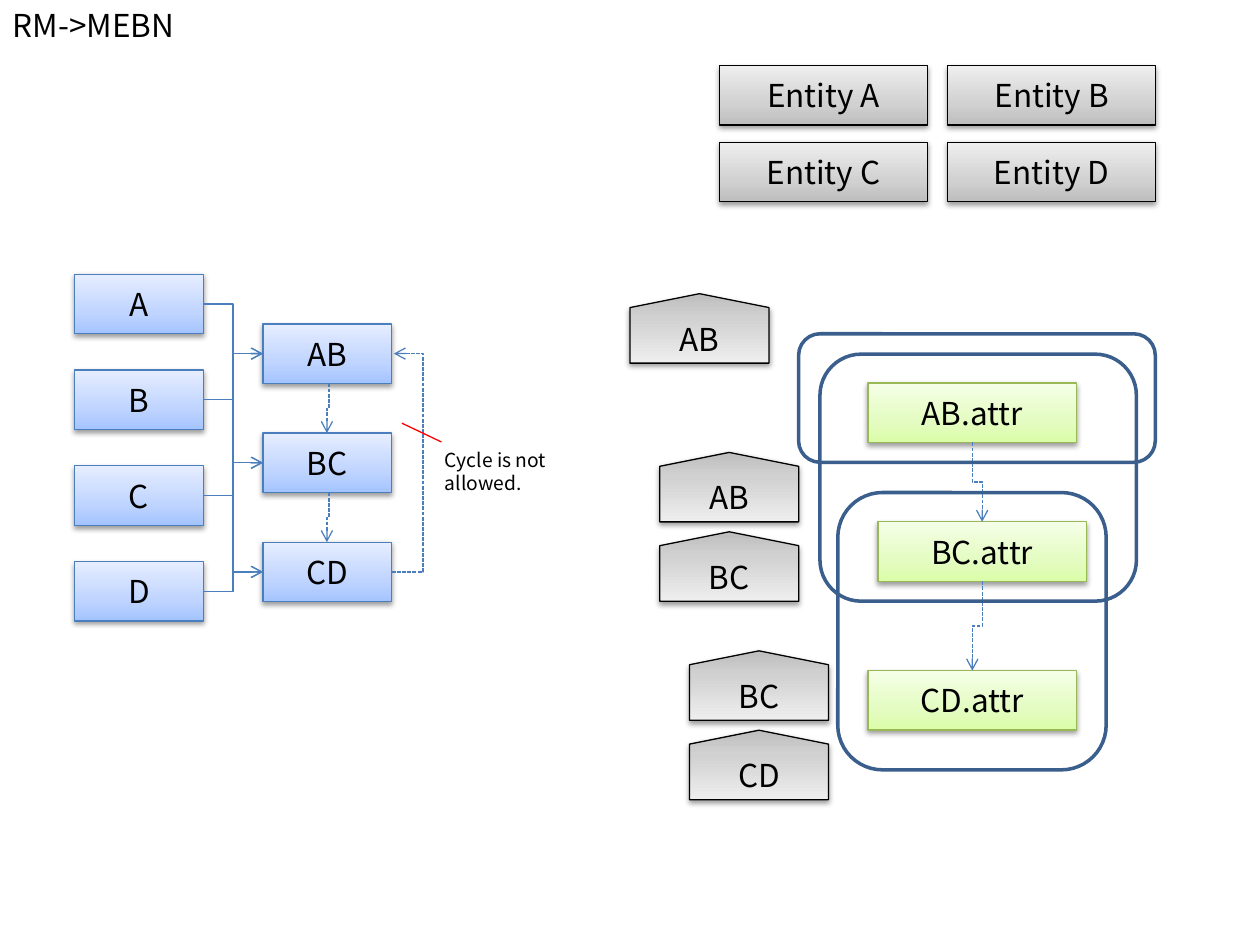
from copy import deepcopy

from lxml.etree import SubElement as Sub
from pptx import Presentation
from pptx.dml.color import RGBColor
from pptx.enum.dml import MSO_LINE as Dash
from pptx.enum.shapes import MSO_CONNECTOR as Link, MSO_SHAPE as Form
from pptx.enum.text import MSO_ANCHOR as Anchor, MSO_AUTO_SIZE as Fit, PP_ALIGN as Align
from pptx.oxml.ns import qn
from pptx.util import Cm, Pt

FONT = "Noto Sans CJK KR"
BLACK = RGBColor(0, 0, 0)
RED = RGBColor(0xFF, 0, 0)
STEEL = RGBColor(0x4B, 0x7E, 0xBC)
NAVY = RGBColor(0x3A, 0x5F, 0x8C)
OLIVE = RGBColor(0x98, 0xB9, 0x55)
BLUES = [RGBColor(0xA4, 0xC4, 0xFF), RGBColor(0xBF, 0xD4, 0xFF), RGBColor(0xE6, 0xEE, 0xFF)]
GREYS = [RGBColor(0xBD, 0xBD, 0xBD), RGBColor(0xD1, 0xD1, 0xD1), RGBColor(0xEE, 0xEE, 0xEE)]
GREENS = [RGBColor(0xDA, 0xFD, 0xA7), RGBColor(0xE4, 0xFC, 0xC2), RGBColor(0xF5, 0xFF, 0xE7)]
HIGH = 1.2   # height of every plain box
WIDE = 4.2   # width of entity and attribute boxes


def write(shape, text, size=18, align=Align.LEFT, anchor=Anchor.TOP, right=0.25):
    """Put formatted text into a shape."""
    frame = shape.text_frame
    frame.word_wrap = True
    frame.auto_size = Fit.NONE
    frame.vertical_anchor = anchor
    frame.margin_right = Cm(right)
    para = frame.paragraphs[0]
    para.alignment = align
    run = para.add_run()
    run.text = text
    run.font.size = Pt(size)
    run.font.name = FONT
    run.font.color.rgb = BLACK


def label(slide, text, x, y, w, h, **style):
    """Add a text box."""
    write(slide.shapes.add_textbox(Cm(x), Cm(y), Cm(w), Cm(h)), text, **style)


def shade(shape, tones):
    """Give a shape a three-stop gradient and a soft drop shadow."""
    fill = shape.fill
    fill.gradient()
    stops = shape.element.spPr.find(".//" + qn("a:gsLst"))
    stops.append(deepcopy(stops[0]))
    for stop, place, tone in zip(fill.gradient_stops, (0, 0.35, 1), tones):
        stop.position = place
        stop.color.rgb = tone
    fill.gradient_angle = 90
    drop = Sub(shape.element.spPr.find(qn("a:effectLst")), qn("a:outerShdw"),
               blurRad="40000", dist="20000", dir="5400000", rotWithShape="0")
    tint = Sub(drop, qn("a:srgbClr"), val="000000")
    Sub(tint, qn("a:alpha"), val="38000")


def block(slide, x, y, w, h, edge, tones=None, text=None, form=Form.RECTANGLE, line=0.75):
    """Add an outlined shape, shaded and labelled on request."""
    shape = slide.shapes.add_shape(form, Cm(x), Cm(y), Cm(w), Cm(h))
    shape.shadow.inherit = False
    shape.line.color.rgb = edge
    shape.line.width = Pt(line)
    if tones:
        shade(shape, tones)
    else:
        shape.fill.background()
    if text:
        write(shape, text, align=Align.CENTER, anchor=Anchor.MIDDLE)
    return shape


def link(slide, x1, y1, x2, y2, form=Link.ELBOW, color=STEEL, dash=False, down=False, bend=None):
    """Add a line; elbows get an arrowhead, and down makes them leave vertically."""
    if down:
        mx, my, dx, dy = (x1 + x2) / 2, (y1 + y2) / 2, (x2 - x1) / 2, (y2 - y1) / 2
        x1, y1, x2, y2 = mx - dy, my + dx, mx + dy, my - dx
    wire = slide.shapes.add_connector(form, Cm(x1), Cm(y1), Cm(x2), Cm(y2))
    wire.line.color.rgb = color
    wire.line.width = Pt(0.75)
    if dash:
        wire.line.dash_style = Dash.SQUARE_DOT
    prop = wire.element.spPr
    if down:
        prop.find(qn("a:xfrm")).set("rot", "5400000")
    if bend:
        ratio = round(bend / (x2 - x1) * 100000)
        Sub(prop.find(".//" + qn("a:avLst")), qn("a:gd"), name="adj1", fmla=f"val {ratio}")
    if form == Link.ELBOW:
        Sub(prop.find(qn("a:ln")), qn("a:tailEnd"), type="arrow")
    Sub(prop, qn("a:effectLst"))


def heading(slide, x, y):
    """Place the slide title."""
    title = slide.shapes.title
    title.left, title.top, title.width, title.height = Cm(x), Cm(y), Cm(4), Cm(1.02)
    write(title, "RM->MEBN")


def tables(slide, x, y):
    """Draw the tables, their relations and the forbidden cycle."""
    w, mid = 2.6, HIGH / 2
    left = [y + 1.93 * i for i in range(4)]
    pairs = [y + 1 + 2.2 * i for i in range(3)]
    px = x + 3.8
    for name, top in zip("ABCD", left):
        block(slide, x, top, w, HIGH, STEEL, BLUES, name)
    for name, top in zip(("AB", "BC", "CD"), pairs):
        block(slide, px, top, w, HIGH, STEEL, BLUES, name)
    for i, top in enumerate(pairs):
        for start in left[i:i + 2]:
            link(slide, x + w, start + mid, px, top + mid)
    for top, low in zip(pairs, pairs[1:]):
        link(slide, px + 1.33, top + HIGH, px + 1.29, low, dash=True, down=True)
    link(slide, px + w, pairs[2] + mid, px + w + 0.04, pairs[0] + mid, dash=True, bend=0.63)
    label(slide, "Cycle is not allowed.", x + 7.22, y + 3.38, WIDE, 0.75, size=11, right=1.4)
    link(slide, x + 6.6, y + 3, x + 7.4, y + 3.38, form=Link.STRAIGHT, color=RED)


def entities(slide, x, y):
    """Draw the two-by-two grid of entities."""
    for i, name in enumerate("ABCD"):
        row, col = divmod(i, 2)
        block(slide, x + 4.6 * col, y + 1.55 * row, WIDE, HIGH, BLACK, GREYS, f"Entity {name}")


def tag(slide, text, x, y):
    """Draw an upturned off-page marker with upright text."""
    w = 2.8
    mark = block(slide, x, y, w, 1.4, BLACK, GREYS, form=Form.FLOWCHART_OFFPAGE_CONNECTOR)
    mark.rotation = 180
    label(slide, text, x, y + 0.4, w, 1.02, align=Align.CENTER)


def fragments(slide, x, y):
    """Draw the attribute chain, its frames and the markers beside them."""
    attrs = [("AB", 4.8, 1.8), ("BC", 5, 4.6), ("CD", 4.8, 7.6)]
    for name, dx, dy in attrs:
        block(slide, x + dx, y + dy, WIDE, HIGH, OLIVE, GREENS, f"{name}.attr")
    for (_, x1, y1), (_, x2, y2) in zip(attrs, attrs[1:]):
        link(slide, x + x1 + WIDE / 2, y + y1 + HIGH, x + x2 + WIDE / 2, y + y2,
             dash=True, down=True)
    for dx, dy, w, h in ((3.4, 0.81, 7.19, 2.59), (3.83, 1.22, 6.38, 4.98),
                         (4.19, 4.01, 5.41, 5.59)):
        block(slide, x + dx, y + dy, w, h, NAVY, form=Form.ROUNDED_RECTANGLE, line=2)
    for name, dx, dy in (("AB", 0, 0), ("AB", 0.6, 3.2), ("BC", 0.6, 4.8),
                         ("BC", 1.2, 7.2), ("CD", 1.2, 8.8)):
        tag(slide, name, x + dx, y + dy)


def main():
    """Build and save the slide."""
    deck = Presentation()
    deck.slide_width, deck.slide_height = Cm(25.4), Cm(19.05)
    slide = deck.slides.add_slide(deck.slide_layouts[5])
    heading(slide, 0, 0)
    tables(slide, 1.5, 5.53)
    entities(slide, 14.5, 1.32)
    fragments(slide, 12.7, 5.92)
    deck.save("out.pptx")


main()
